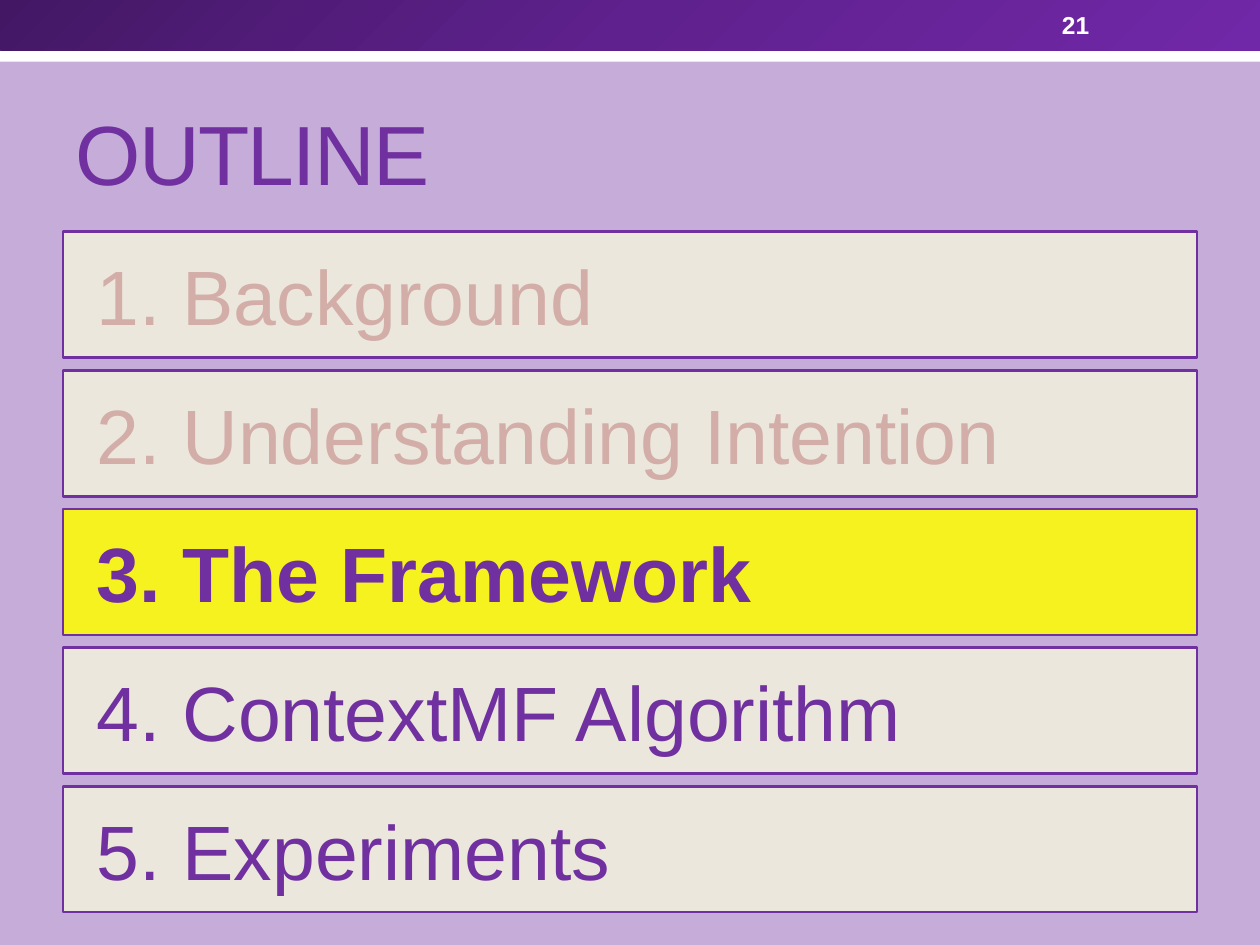
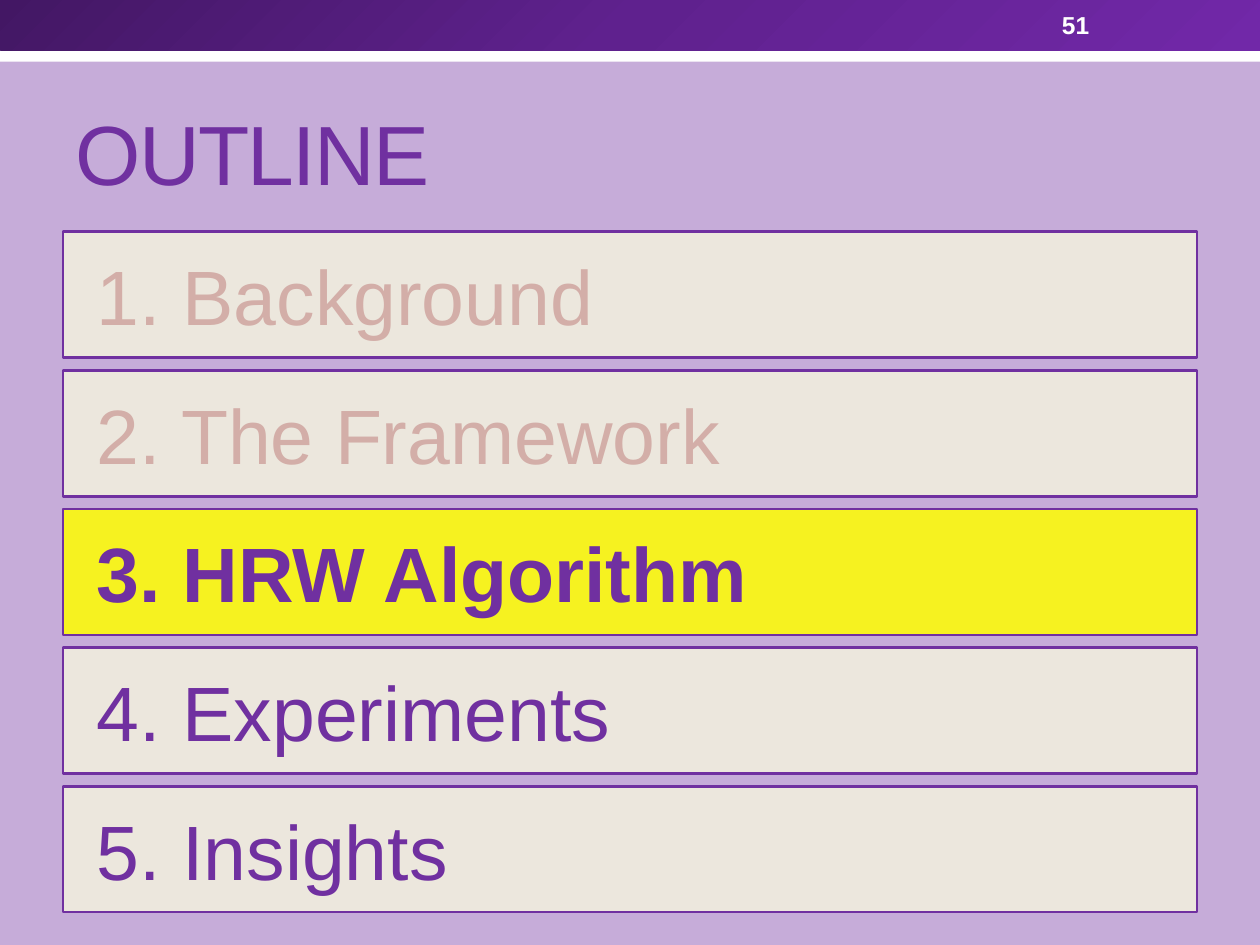
from copy import deepcopy
from dataclasses import dataclass

from pptx import Presentation
from pptx.dml.color import RGBColor
from pptx.enum.shapes import MSO_SHAPE
from pptx.enum.text import MSO_ANCHOR, MSO_AUTO_SIZE, PP_ALIGN
from pptx.oxml.xmlchemy import OxmlElement
from pptx.shapes.autoshape import Shape
from pptx.slide import Slide, SlideLayout
from pptx.text.text import TextFrame
from pptx.util import Emu, Inches, Pt

PURPLE = RGBColor(0x70, 0x30, 0xA0)
LILAC = RGBColor(0xC6, 0xAC, 0xD9)
CREAM = RGBColor(0xF3, 0xF2, 0xDE)
YELLOW = RGBColor(0xFF, 0xFF, 0x00)
FADED = RGBColor(0xD3, 0xAE, 0xA8)
WHITE = RGBColor(0xFF, 0xFF, 0xFF)
BAND_STOPS = [
    (0.0, RGBColor(0x43, 0x17, 0x64)),
    (0.5, RGBColor(0x5F, 0x21, 0x8E)),
    (1.0, RGBColor(0x71, 0x28, 0xA8)),
]

FONT = "Arial"
WIDTH, HEIGHT = Inches(10), Inches(7.5)
MARGIN = WIDTH // 20
CONTENT_WIDTH = WIDTH - 2 * MARGIN
ROWS_TOP = Inches(1.84)
ROW_HEIGHT = Inches(1)
ROW_PITCH = Inches(1.1)
ROW_INDENT = Inches(0.27)
ROW_OPACITY = 85


@dataclass(frozen=True)
class Outline:
    page_number: int
    current: int
    topics: tuple[str, ...]


OUTLINES = [
    Outline(21, 3, ("Background", "Understanding Intention", "The Framework",
                    "ContextMF Algorithm", "Experiments")),
    Outline(51, 3, ("Background", "The Framework", "HRW Algorithm",
                    "Experiments", "Insights")),
]


def write(frame: TextFrame, text: str, *, size: float, color: RGBColor,
          bold: bool = False, anchor: MSO_ANCHOR = MSO_ANCHOR.MIDDLE,
          spacing: float = 0) -> None:
    """Put one left-aligned line in a frame; spacing is in points."""
    frame.word_wrap = True
    frame.auto_size = MSO_AUTO_SIZE.NONE
    frame.vertical_anchor = anchor
    para = frame.paragraphs[0]
    para.alignment = PP_ALIGN.LEFT
    span = para.add_run()
    span.text = text
    span.font.name = FONT
    span.font.size = Pt(size)
    span.font.bold = bold
    span.font.color.rgb = color
    if spacing:
        span.font._element.set("spc", str(round(spacing * 100)))


def add_rectangle(page: Slide, left: Emu, top: Emu, width: Emu, height: Emu) -> Shape:
    box = page.shapes.add_shape(MSO_SHAPE.RECTANGLE, left, top, width, height)
    box.shadow.inherit = False
    box.line.fill.background()
    return box


def fill_solid(box: Shape, color: RGBColor, opacity: int = 100) -> None:
    box.fill.solid()
    box.fill.fore_color.rgb = color
    if opacity < 100:
        alpha = OxmlElement("a:alpha")
        alpha.set("val", str(opacity * 1000))
        box.element.xpath("./p:spPr/a:solidFill/a:srgbClr")[0].append(alpha)


def fill_gradient(box: Shape) -> None:
    """Fill diagonally, from the top left, with the three band colours."""
    box.fill.gradient()
    box.fill.gradient_angle = 315
    stop_list = box.element.xpath("./p:spPr/a:gradFill/a:gsLst")[0]
    stop_list.insert(1, deepcopy(stop_list[0]))
    for stop, (position, color) in zip(box.fill.gradient_stops, BAND_STOPS):
        stop.position = position
        stop.color.rgb = color


def move_bands_to_layout(page: Slide, layout: SlideLayout) -> None:
    """Draw the top bands and hand them to the layout, for all slides to share."""
    stripe = add_rectangle(page, 0, Inches(0.24), WIDTH, Inches(0.25))
    fill_solid(stripe, WHITE)
    band = add_rectangle(page, 0, 0, WIDTH, Inches(0.4))
    fill_gradient(band)
    for box in (stripe, band):
        layout.shapes.element.append(box.element)


def add_topic(page: Slide, number: int, topic: str, current: int) -> None:
    top = ROWS_TOP + (number - 1) * ROW_PITCH
    box = add_rectangle(page, MARGIN, top, CONTENT_WIDTH, ROW_HEIGHT)
    is_current = number == current
    fill_solid(box, YELLOW if is_current else CREAM, ROW_OPACITY)
    box.line.color.rgb = PURPLE
    box.line.width = Pt(1.5)
    box.text_frame.margin_left = ROW_INDENT
    write(box.text_frame, f"{number}. {topic}", size=44, bold=is_current,
          color=FADED if number < current else PURPLE)


def fill_page(page: Slide, outline: Outline) -> None:
    title = page.shapes.title
    title.left, title.top = MARGIN, Inches(0.58)
    title.width, title.height = CONTENT_WIDTH, Inches(1.08)
    write(title.text_frame, "OUTLINE", size=48, color=PURPLE,
          anchor=MSO_ANCHOR.BOTTOM, spacing=-1)
    for number, topic in enumerate(outline.topics, start=1):
        add_topic(page, number, topic, outline.current)
    number_box = page.shapes.add_textbox(
        Inches(8.33), Inches(0.02), Inches(1.17), Inches(0.36))
    write(number_box.text_frame, str(outline.page_number), size=14,
          color=WHITE, bold=True)


def main() -> None:
    deck = Presentation()
    deck.slide_width, deck.slide_height = WIDTH, HEIGHT
    background = deck.slide_master.background.fill
    background.solid()
    background.fore_color.rgb = LILAC
    layout = deck.slide_layouts.get_by_name("Title Only")
    pages = [deck.slides.add_slide(layout) for _ in OUTLINES]
    move_bands_to_layout(pages[0], layout)
    for page, outline in zip(pages, OUTLINES):
        fill_page(page, outline)
    deck.save("out.pptx")


if __name__ == "__main__":
    main()
